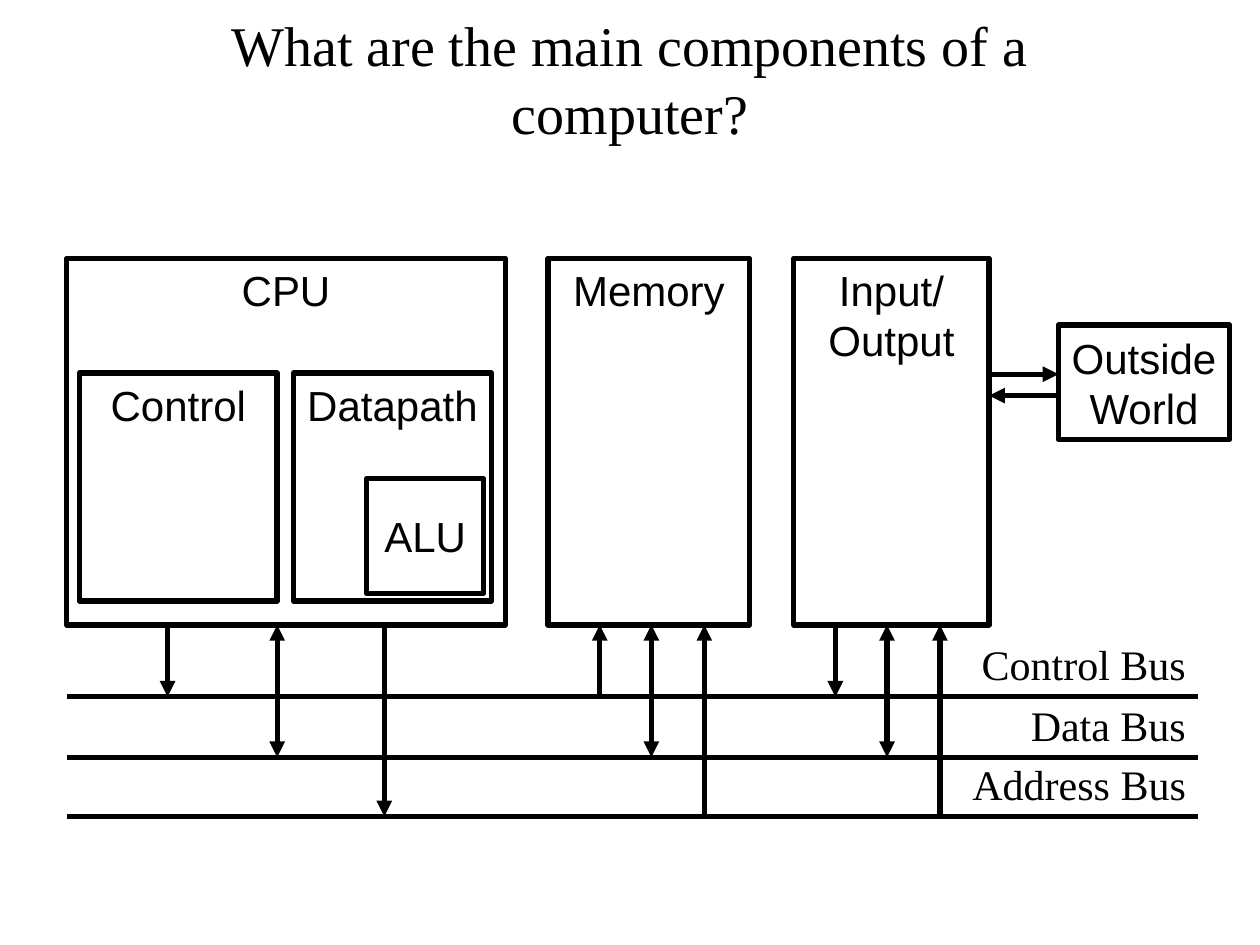
from pptx import Presentation
from pptx.dml.color import RGBColor
from pptx.enum.shapes import MSO_CONNECTOR, MSO_SHAPE
from pptx.enum.text import MSO_ANCHOR, MSO_AUTO_SIZE, PP_ALIGN
from pptx.oxml.ns import qn
from pptx.util import Inches, Pt
from lxml.etree import SubElement

THEME = {
    "ink": RGBColor(0, 0, 0),
    "serif": "Times New Roman",
    "sans": "Arial",
    "title": Pt(32),
    "label": Pt(24),
    "line": Pt(3),
}

TITLE = "What are the main components of a computer?"
TOP, MIDDLE = MSO_ANCHOR.TOP, MSO_ANCHOR.MIDDLE

# lines of text, (left, top, width, height), anchor
BOXES = [
    (["CPU"], (0.53, 2.05, 3.48, 2.91), TOP),
    (["Control"], (0.63, 2.96, 1.57, 1.81), TOP),
    (["Datapath"], (2.33, 2.96, 1.57, 1.81), TOP),
    (["ALU"], (2.91, 3.8, 0.93, 0.91), MIDDLE),
    (["Memory"], (4.35, 2.05, 1.6, 2.91), TOP),
    (["Input/", "Output"], (6.3, 2.05, 1.55, 2.91), TOP),
    (["Outside", "World"], (8.4, 2.58, 1.36, 0.91), MIDDLE),
]

# name, y, links as (x, arrow ends): "up" to the unit, "down" to the bus
BUSES = [
    ("Control Bus", 5.53, [(1.33, "down"), (4.76, "up"), (6.63, "down")]),
    ("Data Bus", 6.01, [(2.2, "both"), (5.17, "both"), (7.04, "both")]),
    ("Address Bus", 6.48, [(3.05, "down"), (5.59, "up"), (7.46, "up")]),
]
BUS_LEFT, BUS_RIGHT = 0.53, 9.51
UNIT_BOTTOM = 4.96
LABEL_W, LABEL_H = 2.21, 0.5
ARROW_ENDS = {"up": ["headEnd"], "down": ["tailEnd"], "both": ["headEnd", "tailEnd"]}

# start x, end x, y
OUTSIDE_LINKS = [(7.85, 8.4, 2.97), (8.4, 7.85, 3.14)]


def add_text(tf, lines, font, size, align):
    for i, line in enumerate(lines):
        p = tf.add_paragraph() if i else tf.paragraphs[0]
        p.alignment = align
        r = p.add_run()
        r.text = line
        r.font.name = font
        r.font.size = size
        r.font.color.rgb = THEME["ink"]


def add_box(s, lines, rect, anchor):
    sp = s.shapes.add_shape(MSO_SHAPE.RECTANGLE, *map(Inches, rect))
    sp.shadow.inherit = False
    sp.fill.background()
    sp.line.color.rgb = THEME["ink"]
    sp.line.width = THEME["line"]
    tf = sp.text_frame
    tf.word_wrap = False
    tf.vertical_anchor = anchor
    add_text(tf, lines, THEME["sans"], THEME["label"], PP_ALIGN.CENTER)


def add_line(s, x1, y1, x2, y2, ends=()):
    c = s.shapes.add_connector(MSO_CONNECTOR.STRAIGHT, *map(Inches, (x1, y1, x2, y2)))
    c.line.color.rgb = THEME["ink"]
    c.line.width = THEME["line"]
    ln = c.line._get_or_add_ln()
    for end in ends:
        SubElement(ln, qn(f"a:{end}"), type="triangle")
    SubElement(c._element.spPr, qn("a:effectLst"))


def add_bus(s, name, y, links):
    add_line(s, BUS_LEFT, y, BUS_RIGHT, y)
    rect = (BUS_RIGHT - LABEL_W, y - LABEL_H - 0.01, LABEL_W, LABEL_H)
    tf = s.shapes.add_textbox(*map(Inches, rect)).text_frame
    tf.word_wrap = True
    add_text(tf, [name], THEME["serif"], THEME["label"], PP_ALIGN.RIGHT)
    for x, direction in links:
        add_line(s, x, UNIT_BOTTOM, x, y, ARROW_ENDS[direction])


def main():
    prs = Presentation()
    prs.slide_width, prs.slide_height = Inches(10), Inches(7.5)
    s = prs.slides.add_slide(prs.slide_layouts[5])

    title = s.shapes.title
    title.left, title.top = Inches(0.75), Inches(0.17)
    title.width, title.height = Inches(8.5), Inches(0.9)
    tf = title.text_frame
    tf.word_wrap = True
    tf.auto_size = MSO_AUTO_SIZE.NONE
    tf.vertical_anchor = MIDDLE
    add_text(tf, [TITLE], THEME["serif"], THEME["title"], PP_ALIGN.CENTER)

    for lines, rect, anchor in BOXES:
        add_box(s, lines, rect, anchor)
    for name, y, links in BUSES:
        add_bus(s, name, y, links)
    for x1, x2, y in OUTSIDE_LINKS:
        add_line(s, x1, y, x2, y, ARROW_ENDS["down"])

    prs.save("out.pptx")


if __name__ == "__main__":
    main()
